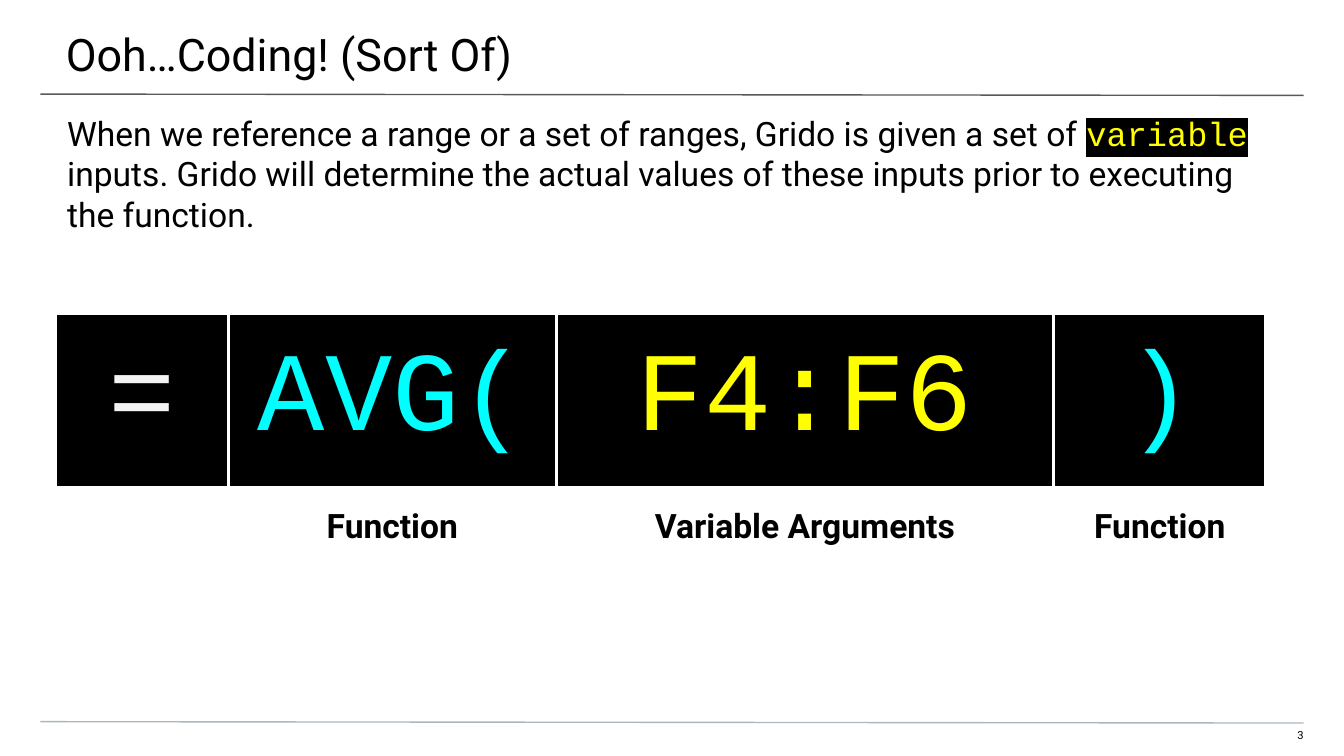
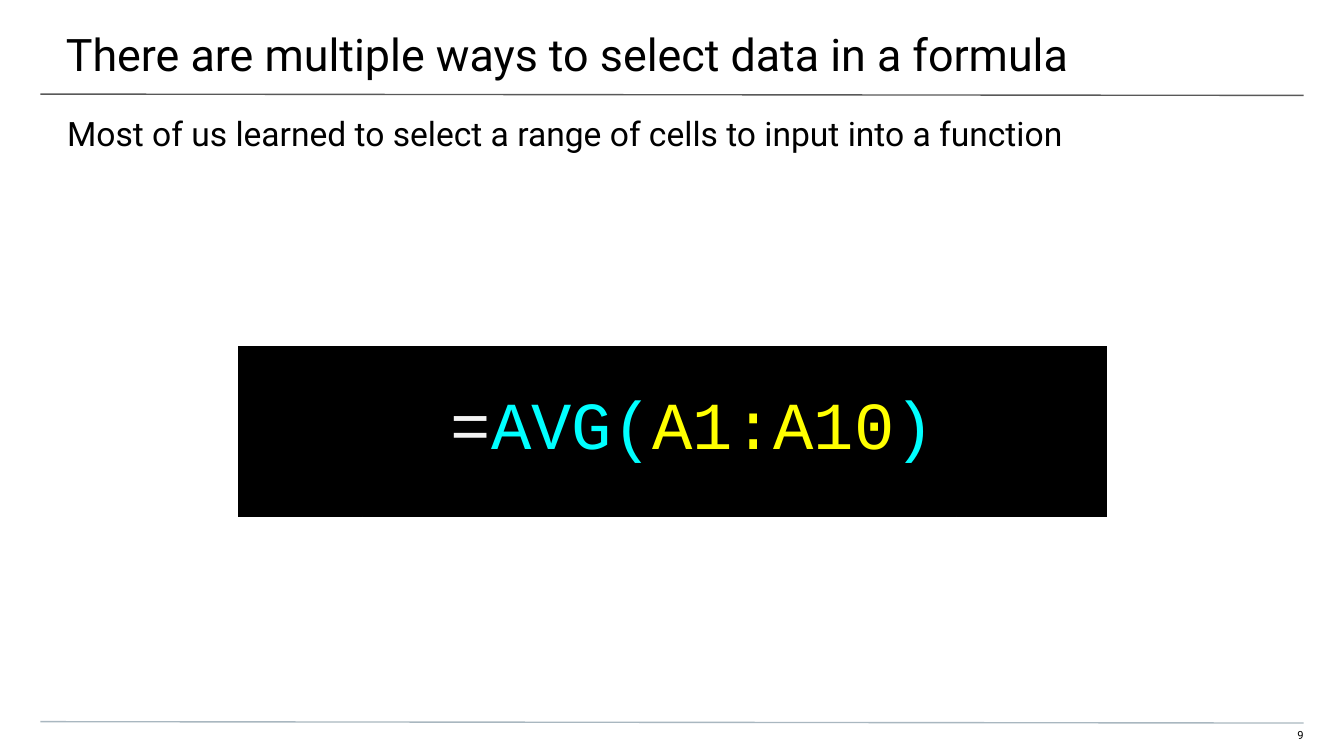
from lxml.etree import SubElement
from pptx import Presentation
from pptx.dml.color import RGBColor
from pptx.enum.shapes import MSO_CONNECTOR
from pptx.enum.text import MSO_ANCHOR, PP_ALIGN
from pptx.oxml.ns import qn
from pptx.util import Inches, Pt

COLORS = {
    "black": "000000",
    "white": "FFFFFF",
    "equals": "F3F3F3",
    "function": "00FFFF",
    "variable": "FFFF00",
    "title_rule": "595959",
    "footer_rule": "A9B7C0",
}
BODY, CODE = "Roboto", "Courier New"


def write(holder, spans, size, font=BODY, bold=False, align=PP_ALIGN.CENTER):
    paragraph = holder.text_frame.paragraphs[0]
    paragraph.alignment = align
    paragraph.font.size = Pt(size)
    paragraph.font.bold = bold
    paragraph.font.name = font
    for text, color, *marked in spans:
        span = paragraph.add_run()
        span.text = text
        span.font.color.rgb = RGBColor.from_string(COLORS[color])
        if marked:
            highlight = SubElement(span.font._element, qn("a:highlight"))
            SubElement(highlight, qn("a:srgbClr"), val=COLORS[marked[0]])
            span.font.name = CODE


def add_formula_table(page, left, top, widths):
    frame = page.shapes.add_table(2, len(widths), Inches(left), Inches(top), Inches(sum(widths)), Inches(1.88))
    table = frame.table
    table.first_row = table.horz_banding = False
    for column, width in zip(table.columns, widths):
        column.width = Inches(width)
    for row, height, fill in zip(table.rows, (1.3, 0.58), ("black", "white")):
        row.height = Inches(height)
        for cell in row.cells:
            cell.vertical_anchor = MSO_ANCHOR.MIDDLE
            cell.margin_left = cell.margin_right = Inches(0.1)
            cell.margin_top = cell.margin_bottom = 0
            properties = cell._tc.get_or_add_tcPr()
            for side in ("a:lnL", "a:lnR", "a:lnT", "a:lnB"):
                border = SubElement(properties, qn(side), w=str(Pt(2.25)))
                paint = SubElement(border, qn("a:solidFill"))
                SubElement(paint, qn("a:srgbClr"), val=COLORS["white"])
            cell.fill.solid()
            cell.fill.fore_color.rgb = RGBColor.from_string(COLORS[fill])
    return table


deck = Presentation()
deck.slide_width = Inches(10)
deck.slide_height = deck.slide_width * 9 // 16

slides = [
    ("3", "Ooh…Coding! (Sort Of)", [
        ("When we reference a range or a set of ranges, Grido is given a set of ", "black"),
        ("variable", "variable", "black"),
        (" inputs. Grido will determine the actual values of these inputs prior to executing the function.", "black"),
    ]),
    ("9", "There are multiple ways to select data in a formula", [
        ("Most of us learned to select a range of cells to input into a function", "black"),
    ]),
]

pages = []
for number, title, message in slides:
    page = deck.slides.add_slide(deck.slide_layouts[6])
    pages.append(page)
    for y, color in ((0.7, "title_rule"), (5.37, "footer_rule")):
        rule = page.shapes.add_connector(
            MSO_CONNECTOR.STRAIGHT, Inches(0.3), Inches(y), Inches(9.7), Inches(y + 0.01))
        rule.line.color.rgb = RGBColor.from_string(COLORS[color])
        rule.line.width = Pt(0.75)
        SubElement(rule._element.spPr, qn("a:effectLst"))
    for spans, size, align, place, insets in (
        ([(number, "black")], 6, PP_ALIGN.RIGHT, (9.41, 5.42, 0.29, 0.12), (0, 0, 0, 0.1)),
        ([(title, "black")], 24, PP_ALIGN.LEFT, (-0.01, 0, 10.03, 0.58), (0.5, 0.2, 0.3, 0.1)),
        (message, 18, PP_ALIGN.LEFT, (0, 0.74, 10, 0.4), (0.5, 0.1, 0.5, 0)),
    ):
        box = page.shapes.add_textbox(*map(Inches, place))
        frame = box.text_frame
        frame.word_wrap = True
        frame.margin_left, frame.margin_top, frame.margin_right, frame.margin_bottom = map(Inches, insets)
        write(box, spans, size, align=align)

parts_page, range_page = pages

parts = [
    ("=", "equals", ""),
    ("AVG(", "function", "Function"),
    ("F4:F6", "variable", "Variable Arguments"),
    (")", "function", "Function"),
]
table = add_formula_table(parts_page, 0.41, 2.33, (1.29, 2.44, 3.7, 1.58))
for index, (code, color, label) in enumerate(parts):
    write(table.cell(0, index), [(code, color)], 60, CODE)
    if label:
        write(table.cell(1, index), [(label, "black")], 18, bold=True)

table = add_formula_table(range_page, 1.76, 2.56, (0.93, 1.76, 2.66, 1.14))
formula = table.cell(0, 0)
formula.merge(table.cell(0, 3))
write(formula, [(" =", "equals"), ("AVG(", "function"), ("A1:A10", "variable"), (")", "function")], 36, CODE)

deck.save("out.pptx")
